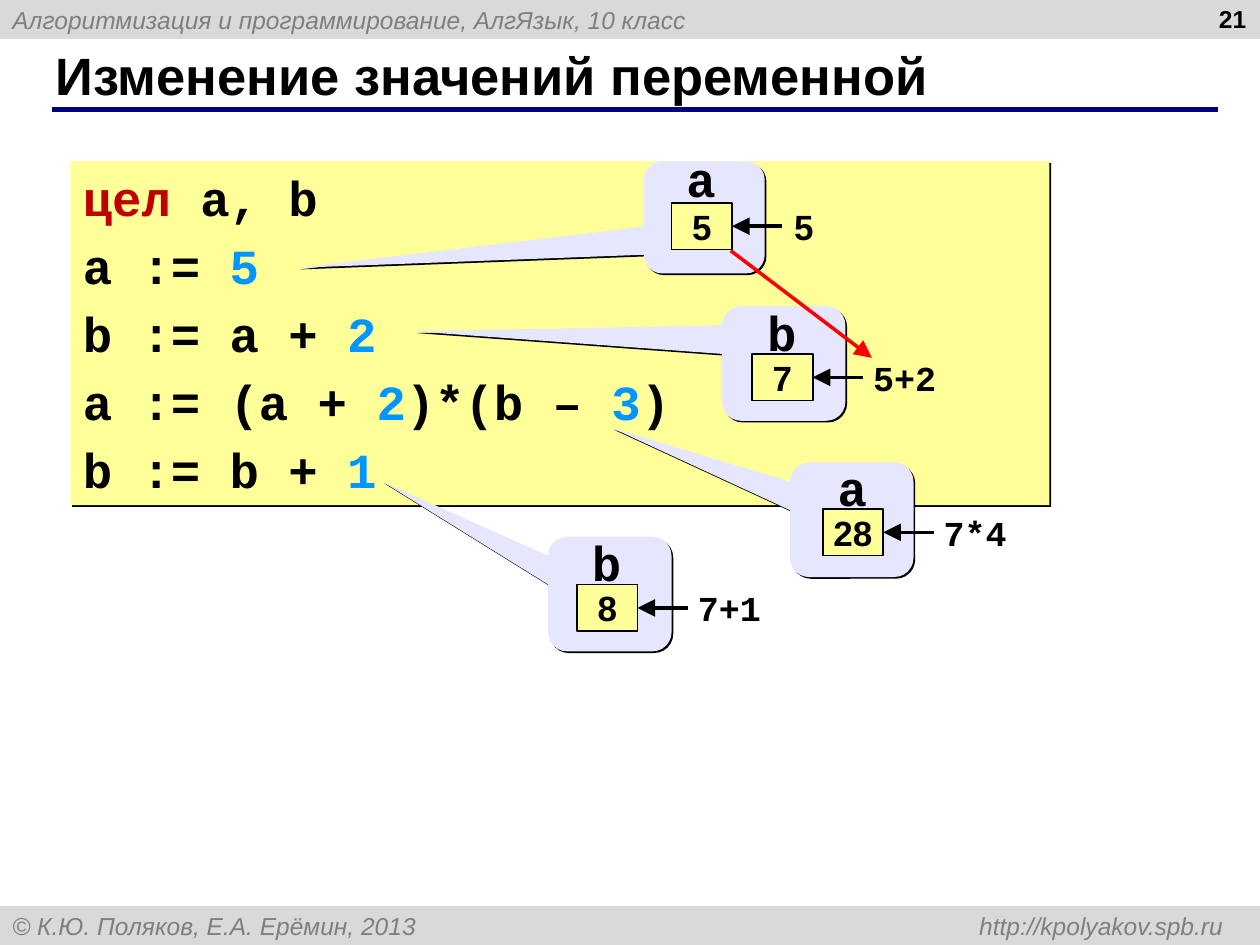
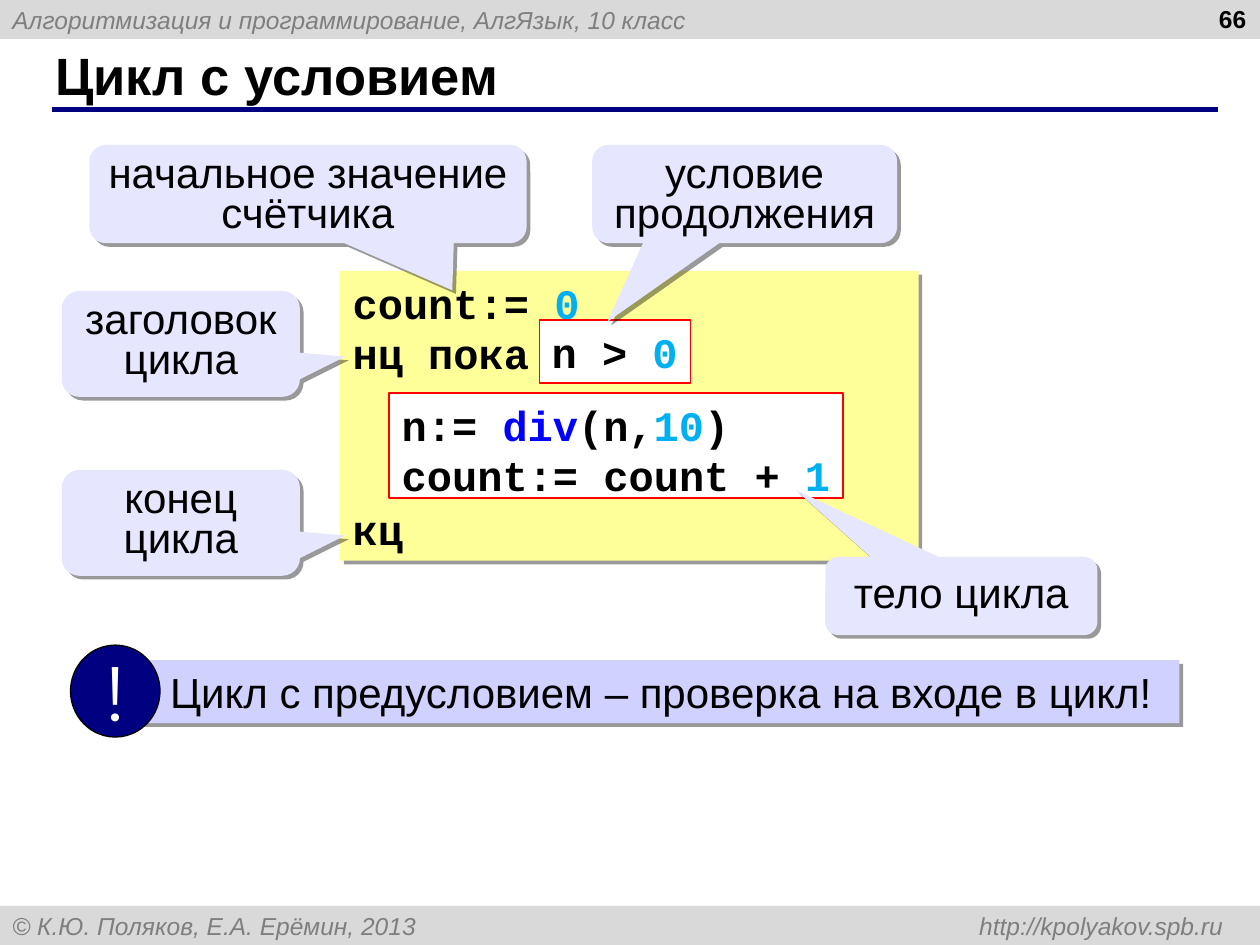
from lxml.etree import SubElement
from pptx import Presentation
from pptx.dml.color import RGBColor
from pptx.enum.shapes import MSO_CONNECTOR, MSO_SHAPE
from pptx.enum.text import MSO_ANCHOR, PP_ALIGN
from pptx.oxml.ns import qn
from pptx.util import Inches, Pt

# Shared palette and fonts
BLACK, WHITE, RED, NAVY = "000000", "FFFFFF", "FF0000", "000080"
BAND, BAND_TEXT = "D9D9D9", "7F7F7F"
CODE_FILL, CALLOUT_FILL, BANNER_FILL = "FFFF99", "E6E6FF", "D1D1FF"
KEYWORD, NUMBER, FUNCTION, LOOP_NUMBER = "C00000", "0095FF", "0000FF", "00B0F0"
SANS, MONO = "Arial", "Courier New"

# Shadows as (opacity in percent, distance in points)
THIN_SHADOW, SOFT_SHADOW = (100, 1.4), (40, 3)

COURSE = "Алгоритмизация и программирование, АлгЯзык, 10 класс"
COPYRIGHT = "© К.Ю. Поляков, Е.А. Ерёмин, 2013\thttp://kpolyakov.spb.ru"


def color(hex_code):
    return RGBColor.from_string(hex_code)


def inches(box):
    return [Inches(value) for value in box]


# Text
def write(shape, lines, size, font=SANS, bold=False, italic=False,
          align=PP_ALIGN.LEFT, anchor=MSO_ANCHOR.TOP, wrap=True,
          insets=(0.1, 0.05, 0.1, 0.05), line_spacing=None):
    """Fill a shape with lines, each a list of (text, colour) runs."""
    frame = shape.text_frame
    frame.word_wrap = wrap
    frame.vertical_anchor = anchor
    (frame.margin_left, frame.margin_top,
     frame.margin_right, frame.margin_bottom) = inches(insets)
    for index, line in enumerate(lines):
        paragraph = frame.add_paragraph() if index else frame.paragraphs[0]
        paragraph.alignment = align
        if line_spacing:
            paragraph.line_spacing = line_spacing
        for text, text_color in line:
            run = paragraph.add_run()
            run.text = text
            run.font.name, run.font.size = font, Pt(size)
            run.font.bold, run.font.italic = bold, italic
            run.font.color.rgb = color(text_color)
    return frame


def add_label(slide, box, text, size, **style):
    label = slide.shapes.add_textbox(*inches(box))
    write(label, [[(text, BLACK)]], size, bold=True, **style)


# Shapes and lines
def add_block(slide, box, fill, kind=MSO_SHAPE.RECTANGLE, line=None,
              line_width=1, shadow=None):
    block = slide.shapes.add_shape(kind, *inches(box))
    block.fill.solid()
    block.fill.fore_color.rgb = color(fill)
    if line:
        block.line.color.rgb = color(line)
        block.line.width = Pt(line_width)
    else:
        block.line.fill.background()
    block.shadow.inherit = False
    if shadow:
        opacity, distance = shadow
        effects = block._element.spPr.find(qn("a:effectLst"))
        outer = SubElement(effects, qn("a:outerShdw"), blurRad="0",
                           dist=str(Pt(distance)), dir="2700000",
                           algn="ctr", rotWithShape="0")
        tint = SubElement(outer, qn("a:srgbClr"), val=BLACK)
        SubElement(tint, qn("a:alpha"), val=str(opacity * 1000))
    return block


def add_callout(slide, box, tip, shadow):
    """Add a callout; tip is measured from its centre in widths and heights."""
    callout = add_block(slide, box, CALLOUT_FILL,
                        MSO_SHAPE.ROUNDED_RECTANGULAR_CALLOUT, shadow=shadow)
    callout.adjustments[0], callout.adjustments[1] = tip
    return callout


def add_line(slide, start, end, line_color, width, arrow=False):
    line = slide.shapes.add_connector(MSO_CONNECTOR.STRAIGHT,
                                      *inches(start + end))
    line.line.color.rgb = color(line_color)
    line.line.width = Pt(width)
    if arrow:
        SubElement(line.line._get_or_add_ln(), qn("a:tailEnd"),
                   type="triangle", w="lg", len="lg")
    SubElement(line._element.spPr, qn("a:effectLst"))
    return line


# Frame common to both slides
def add_band(slide, top, text):
    band = add_block(slide, (0, top, 10, 0.31), BAND)
    frame = write(band, [[(text, BAND_TEXT)]], 14, italic=True,
                  anchor=MSO_ANCHOR.MIDDLE)
    return frame.paragraphs[0]


def start_slide(presentation, title, number):
    slide = presentation.slides.add_slide(presentation.slide_layouts[5])
    add_band(slide, 0, COURSE)
    footer = add_band(slide, 7.19, COPYRIGHT)
    tabs = SubElement(footer._p.get_or_add_pPr(), qn("a:tabLst"))
    SubElement(tabs, qn("a:tab"), pos=str(Inches(9.61)), algn="r")
    add_line(slide, (0.41, 0.87), (9.67, 0.87), NAVY, 3)

    heading = slide.shapes.title
    (heading.left, heading.top,
     heading.width, heading.height) = inches((0.34, 0.33, 9.16, 0.52))
    write(heading, [[(title, BLACK)]], 30, bold=True,
          anchor=MSO_ANCHOR.MIDDLE)
    add_label(slide, (7.66, 0, 2.33, 0.31), number, 14,
              align=PP_ALIGN.RIGHT, insets=(0.1, 0.03, 0.1, 0))
    return slide


# Slide: changing a variable
def add_variable(slide, box, tip, cell_at, name, value, source):
    """Draw a callout with a memory cell and the expression stored in it."""
    add_callout(slide, box, tip, THIN_SHADOW)
    left, top = cell_at
    middle = top + 0.18
    plain = source == value
    centred = dict(align=PP_ALIGN.CENTER, anchor=MSO_ANCHOR.MIDDLE,
                   wrap=False)
    add_label(slide, (left + 0.02, top - (0.48 if plain else 0.46),
                      0.43, 0.57), name, 28,
              font=MONO, align=PP_ALIGN.CENTER, wrap=False)
    add_label(slide, (left + (0.65 if plain else 0.81), top, 0.8, 0.37),
              source, 20, font=SANS if plain else MONO, **centred)
    cell = add_block(slide, (left, top, 0.48, 0.37), CODE_FILL, line=BLACK)
    write(cell, [[(value, BLACK)]], 20, bold=True, **centred)
    arrow = add_line(slide, (left + 0.88, middle), (left + 0.48, middle),
                     BLACK, 2, arrow=True)
    arrow.end_connect(cell, 3)
    arrow.begin_y = arrow.end_y


def build_variable_slide(presentation):
    slide = start_slide(presentation, "Изменение значений переменной", "21")
    code = add_block(slide, (0.56, 1.28, 7.77, 2.73), CODE_FILL,
                     shadow=THIN_SHADOW)
    frame = write(code, [
        [("цел ", KEYWORD), ("a, b", BLACK)],
        [("a := ", BLACK), ("5", NUMBER)],
        [("b := a + ", BLACK), ("2", NUMBER)],
        [("a := (a + ", BLACK), ("2", NUMBER), (")*(b – ", BLACK),
         ("3", NUMBER), (")", BLACK)],
        [("b := b + ", BLACK), ("1", NUMBER)],
    ], 28, font=MONO, bold=True)
    for paragraph in frame.paragraphs[1:]:
        paragraph.space_before = Pt(5.2)

    # Callout box, its tip, cell corner, variable, value, stored expression
    steps = [
        ((5.11, 1.28, 0.96, 0.89), (-3.36, 0.45), (5.33, 1.61),
         "a", "5", "5"),
        ((5.73, 2.43, 0.98, 0.91), (-2.99, -0.28), (5.97, 2.81),
         "b", "7", "5+2"),
        ((6.27, 3.67, 0.98, 0.91), (-1.94, -0.8), (6.53, 4.04),
         "a", "28", "7*4"),
        ((4.35, 4.26, 0.98, 0.91), (-1.84, -0.98), (4.58, 4.64),
         "b", "8", "7+1"),
    ]
    for step in steps:
        add_variable(slide, *step)
    add_line(slide, (5.8, 1.99), (6.92, 2.84), RED, 2, arrow=True)


# Slide: loop with a condition
def add_loop_code(slide, left, top):
    program = add_block(slide, (left, top, 4.59, 2.3), CODE_FILL,
                        shadow=SOFT_SHADOW)
    frame = write(program, [
        [("count:= ", BLACK), ("0", LOOP_NUMBER)],
        [("нц пока", BLACK)],
        [("кц", BLACK)],
    ], 24, font=MONO, bold=True, anchor=MSO_ANCHOR.MIDDLE)
    frame.paragraphs[1].space_after = Pt(72)

    body = add_block(slide, (left + 0.39, top + 0.97, 3.6, 0.83), WHITE,
                     MSO_SHAPE.FLOWCHART_PROCESS, line=RED)
    write(body, [
        [("n:= ", BLACK), ("div", FUNCTION), ("(n,", BLACK),
         ("10", LOOP_NUMBER), (")", BLACK)],
        [("count:= count + ", BLACK), ("1", LOOP_NUMBER)],
    ], 24, font=MONO, bold=True)

    condition = add_block(slide, (left + 1.58, top + 0.39, 1.2, 0.5), WHITE,
                          line=RED, line_width=0.75)
    write(condition, [[("n > ", BLACK), ("0", LOOP_NUMBER)]], 24,
          font=MONO, bold=True, wrap=False)


def add_banner(slide, left, top, text):
    banner = add_block(slide, (left + 0.51, top + 0.12, 8.29, 0.5),
                       BANNER_FILL, shadow=SOFT_SHADOW)
    write(banner, [[(text, BLACK)]], 24, anchor=MSO_ANCHOR.MIDDLE,
          insets=(0.28, 0.05, 0.1, 0.05))
    badge = add_block(slide, (left, top, 0.71, 0.73), NAVY, MSO_SHAPE.OVAL,
                      line=BLACK, line_width=0.75)
    write(badge, [[("!", WHITE)]], 44, font="Montserrat",
          align=PP_ALIGN.CENTER, anchor=MSO_ANCHOR.MIDDLE, wrap=False)


def build_loop_slide(presentation):
    slide = start_slide(presentation, "Цикл с условием", "66")
    add_loop_code(slide, 2.7, 2.15)

    # Callout text, box, tip and line spacing
    notes = [
        ("тело цикла", (6.55, 4.42, 2.16, 0.62), (-0.61, -1.36), None),
        ("начальное значение счётчика", (0.71, 1.15, 3.47, 0.78),
         (0.33, 0.98), 0.8),
        ("условие продолжения", (4.7, 1.15, 2.42, 0.78), (-0.45, 1.3), 0.8),
        ("заголовок цикла", (0.49, 2.31, 1.89, 0.84), (0.69, 0.12), 0.8),
        ("конец цикла", (0.49, 3.73, 1.89, 0.84), (0.69, 0.12), 0.8),
    ]
    for text, box, tip, line_spacing in notes:
        callout = add_callout(slide, box, tip, SOFT_SHADOW)
        write(callout, [[(text, BLACK)]], 24, align=PP_ALIGN.CENTER,
              line_spacing=line_spacing)

    add_banner(slide, 0.56, 5.12,
               "Цикл с предусловием – проверка на входе в цикл!")


def main():
    presentation = Presentation()
    presentation.slide_width, presentation.slide_height = inches((10, 7.5))
    build_variable_slide(presentation)
    build_loop_slide(presentation)
    presentation.save("out.pptx")


if __name__ == "__main__":
    main()
